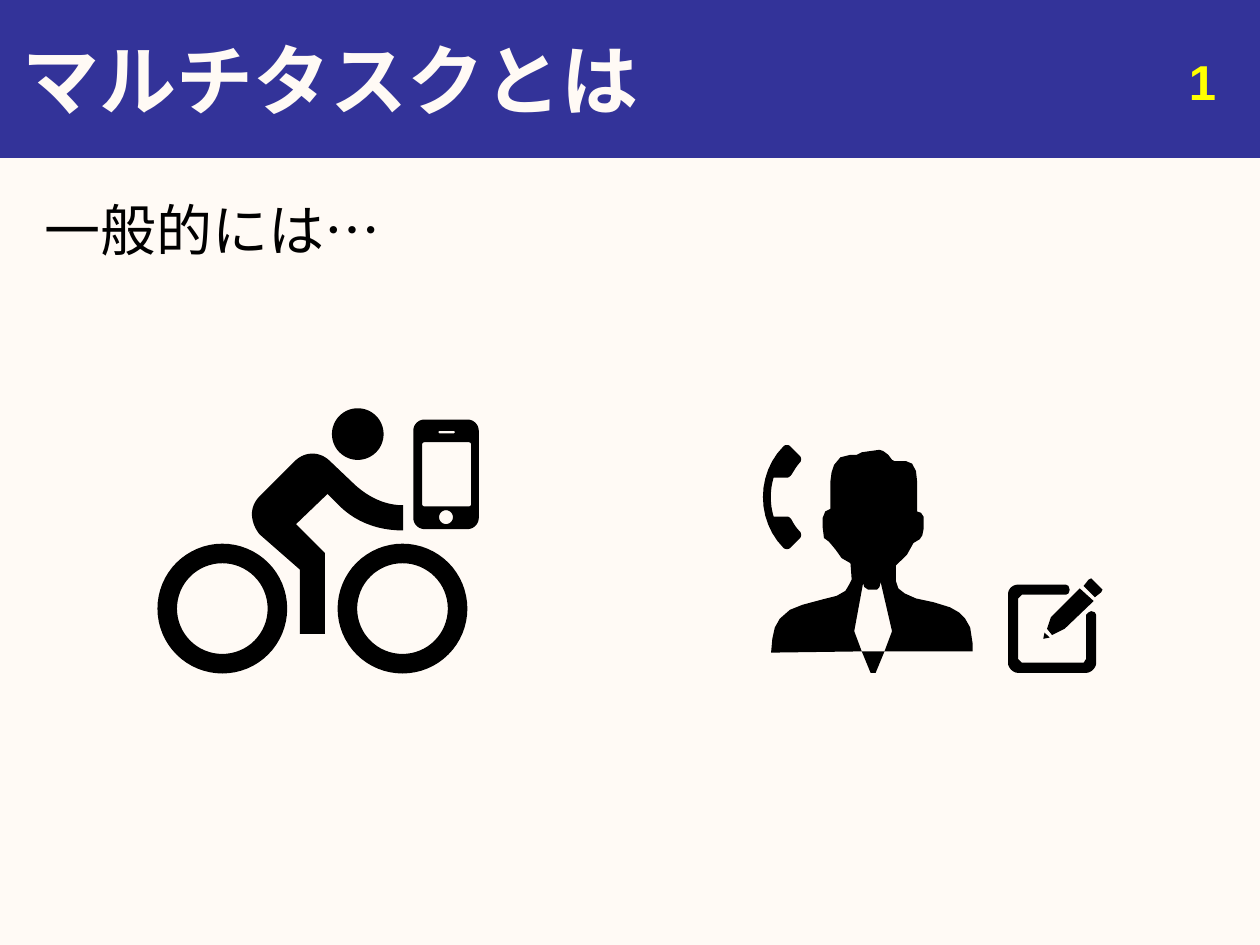
import math
from dataclasses import dataclass
from lxml import etree
from pptx import Presentation
from pptx.dml.color import RGBColor
from pptx.enum import shapes, text
from pptx.oxml import ns
from pptx.util import Inches, Pt


@dataclass(frozen=True)
class Theme:
    paper: RGBColor = RGBColor.from_string("FFFAF5")
    band: RGBColor = RGBColor.from_string("333399")
    ink: RGBColor = RGBColor.from_string("000000")
    mark: RGBColor = RGBColor.from_string("FFFF00")
    face: str = "Arial"
    head: int = 44
    body: int = 32
    page: int = 28


theme = Theme()


def place(shape, box):
    shape.left, shape.top, shape.width, shape.height = map(Inches, box)


def paint(shape, color):
    shape.shadow.inherit = False
    shape.fill.solid()
    shape.fill.fore_color.rgb = color


def write(shape, words, size, color, align, bold=False):
    frame = shape.text_frame
    frame.word_wrap = True
    frame.auto_size = text.MSO_AUTO_SIZE.NONE
    frame.text = words
    para = frame.paragraphs[0]
    para.alignment = align
    font = para.font
    font.name, font.size, font.bold = theme.face, Pt(size), bold
    font.color.rgb = color
    return para


def smooth(steps):
    points = [steps[0]]
    for step in steps[1:]:
        if len(step) == 2:
            points.append(step)
            continue
        a, b, c, d = points[-1], step[:2], step[2:4], step[4:]
        for i in range(1, 13):
            t = i / 12
            s = 1 - t
            points.append(tuple(
                s**3 * a[k] + 3 * s * s * t * b[k] + 3 * s * t * t * c[k] + t**3 * d[k]
                for k in (0, 1)))
    return points


def ring(x, y, r):
    return [(x + r * math.cos(math.pi * i / 32), y + r * math.sin(math.pi * i / 32))
            for i in range(64)]


def slab(l, t, r, b, c):
    k = c * 0.45
    return [(l + c, t), (r - c, t), (r - k, t, r, t + k, r, t + c),
            (r, b - c), (r, b - k, r - k, b, r - c, b),
            (l + c, b), (l + k, b, l, b - k, l, b - c),
            (l, t + c), (l, t + k, l + k, t, l + c, t)]


def turn(steps, mid, angle):
    cos, sin = math.cos(math.radians(angle)), math.sin(math.radians(angle))
    return [(mid + (x - mid) * cos - (y - mid) * sin,
             mid + (x - mid) * sin + (y - mid) * cos) for x, y in steps]


def trace(slide, spot, parts):
    left, top = spot
    pen = None
    for part in parts:
        points = [(Inches(left + x / 100), Inches(top + y / 100)) for x, y in smooth(part)]
        if pen is None:
            pen = slide.shapes.build_freeform(*points[0])
        else:
            pen.move_to(*points[0])
        pen.add_line_segments(points[1:], close=True)
    icon = pen.convert_to_shape()
    paint(icon, theme.ink)
    icon.line.fill.background()
    return icon


def rider(slide, spot):
    torso = [(110, 92), (135, 68), (142, 75), (155, 89, 173, 97, 195, 97), (195, 77),
             (180, 77, 167, 70, 157, 61), (137, 42), (133, 38, 128, 36, 123, 36),
             (118, 36, 113, 38, 109, 42), (81, 70), (77, 74, 75, 79, 75, 84),
             (75, 89, 77, 95, 81, 100), (113, 128), (113, 179), (133, 179), (133, 115)]
    wheels = [ring(x, 159, r) for x in (51.5, 194.5) for r in (51.5, 36)]
    return trace(slide, spot, [ring(159, 20.5, 20.5), torso, *wheels])


def phone(slide, spot):
    return trace(slide, spot, [slab(0, 0, 52, 87, 9), slab(20, 9, 33, 11, 1),
                               ring(26, 77.5, 5.5), slab(7, 18, 46, 69, 2)])


def handset(slide, spot):
    curve = [(20, 15), (17, 25, 17, 36, 20, 46), (31, 46), (32, 46, 33, 47, 34, 48),
             (36, 52, 38, 55, 41, 58), (42, 59, 42, 62, 41, 63), (33, 71),
             (32, 72, 29, 72, 28, 71), (6, 49, 6, 12, 28, -10), (29, -11, 32, -11, 33, -10),
             (41, -2), (42, -1, 42, 2, 41, 3), (38, 6, 36, 10, 34, 13),
             (33, 14, 32, 15, 31, 15)]
    icon = trace(slide, spot, [turn(smooth(curve), 30.5, -45)])
    icon.rotation = 45
    return icon


def note(slide, spot):
    pencil = [(45, 40), (68, 18), (57, 8), (34, 31), (31, 40), (35, 45)]
    tip = [(28, 48), (33, 47), (29, 43)]
    cap = [(74, 8), (68, 2), (66, 0), (64, 1), (60, 6), (69, 15), (74, 11), (75, 9)]
    frame = [(66, 26), (64, 27), (62, 29), (62, 64), (60, 67), (11, 67), (8, 64), (8, 16),
             (11, 13), (46, 13), (48, 12), (49, 9), (48, 6), (46, 5), (8, 5),
             (4, 5, 0, 8, 0, 13), (0, 67), (0, 71, 4, 75, 8, 75), (62, 75),
             (66, 75, 70, 71, 70, 67), (70, 29), (69, 27)]
    return trace(slide, spot, [pencil, frame, cap, tip])


def man(slide, spot):
    tie = [(90, 160), (83, 177), (79, 177), (72, 160)]
    bust = [(86, 0), (89, 1), (93, 4), (96, 8), (98, 9), (107, 9), (112, 11), (115, 17),
            (116, 26), (116, 49), (119, 50), (121, 53), (121, 63), (120, 68), (118, 71),
            (113, 74), (108, 83), (103, 88), (99, 92), (99, 104), (101, 110), (106, 114),
            (115, 118), (129, 121), (142, 125), (149, 129), (154, 134), (158, 141),
            (160, 154), (160, 160), (90, 160), (96, 144), (87, 105), (86, 109), (84, 111),
            (77, 111), (74, 109), (73, 106), (66, 144), (72, 160), (0, 161), (1, 150),
            (3, 141), (7, 134), (15, 127), (25, 123), (40, 119), (52, 116), (59, 112),
            (62, 107), (64, 103), (63, 90), (56, 86), (51, 79), (46, 73), (42, 70),
            (41, 62), (41, 54), (43, 49), (47, 47), (47, 26), (48, 18), (50, 12), (55, 6),
            (63, 4), (68, 4), (72, 2)]
    return trace(slide, spot, [tie, bust])


def scene(slide, box, parts):
    left, top = box
    icons = [draw(slide, (left + x, top + y)) for draw, x, y in parts]
    slide.shapes.add_group_shape(icons)


def header(slide, box, words, page):
    left, top, width, height = box
    band = slide.shapes.add_shape(shapes.MSO_SHAPE.RECTANGLE, *map(Inches, box))
    paint(band, theme.band)
    band.line.color.rgb = theme.band
    band.line.width = Pt(0.75)
    title = slide.shapes.title
    title._element.addprevious(band._element)
    place(title, (left + 0.08, top, width - 0.08, height))
    title.text_frame.vertical_anchor = text.MSO_ANCHOR.MIDDLE
    write(title, words, theme.head, theme.paper, text.PP_ALIGN.LEFT, True)
    spot = (left + width - 2.58, top + 0.36, 2.33, 0.52)
    number = slide.shapes.add_textbox(*map(Inches, spot))
    write(number, page, theme.page, theme.mark, text.PP_ALIGN.RIGHT, True)


def lead(slide, box, words):
    body = slide.placeholders[1]
    place(body, box)
    para = write(body, words, theme.body, theme.ink, text.PP_ALIGN.JUSTIFY)
    para.space_before = Pt(6.4)
    props = para._p.get_or_add_pPr()
    props.set("marL", "0")
    props.set("indent", "0")
    etree.SubElement(props, ns.qn("a:buNone"))
    for font in props.findall(ns.qn("a:defRPr")):
        props.append(font)


def main():
    deck = Presentation()
    deck.slide_width, deck.slide_height = Inches(10), Inches(7.5)
    slide = deck.slides.add_slide(deck.slide_layouts[1])
    slide.background.fill.solid()
    slide.background.fill.fore_color.rgb = theme.paper
    header(slide, (0, 0, 10, 1.25), "マルチタスクとは", "1")
    lead(slide, (0.25, 1.5, 9.5, 5.67), "一般的には…")
    scene(slide, (1.25, 3.24), [(rider, 0, 0), (phone, 2.03, 0.09)])
    scene(slide, (5.94, 3.57), [(handset, 0, 0.07), (note, 2.06, 1.02), (man, 0.18, 0)])
    deck.save("out.pptx")


main()
